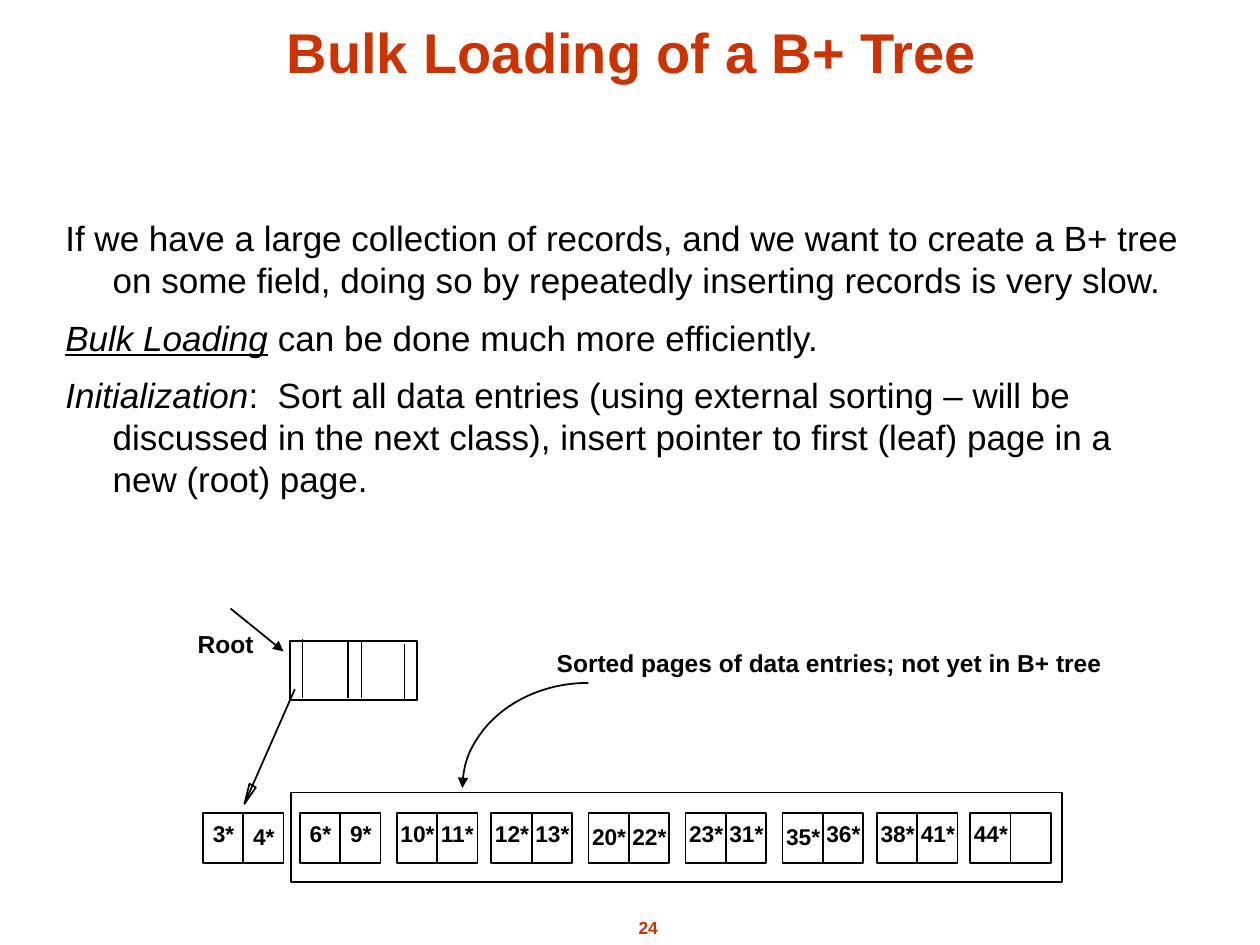
from dataclasses import dataclass

from lxml import etree
from pptx import Presentation
from pptx import util as u
from pptx.dml.color import RGBColor
from pptx.enum import shapes, text
from pptx.oxml import ns

COLS, ROWS = 100, 75
CELL = u.Inches(10) // COLS
BLACK, RED = "000000", "CC3300"
LEFT, MID = text.PP_ALIGN.LEFT, text.PP_ALIGN.CENTER
HALF, TALL, PAGE_TOP = 3.2, 4, 64.5


@dataclass
class Page:
    left: float
    keys: tuple[str, ...]


@dataclass
class Label:
    words: str
    box: tuple[float, float, float, float]
    size: float
    color: str = BLACK
    align: int = LEFT


@dataclass
class Bar:
    """A vertical divider."""
    x: float
    top: float
    tall: float


PAGES = [
    Page(16.1, ("3*", "4*")),
    Page(23.8, ("6*", "9*")),
    Page(31.5, ("10*", "11*")),
    Page(39, ("12*", "13*")),
    Page(46.7, ("20*", "22*")),
    Page(54.4, ("23*", "31*")),
    Page(62.1, ("35*", "36*")),
    Page(69.6, ("38*", "41*")),
    Page(77, ("44*",)),
]
LOW = {"4*", "20*", "22*", "35*"}
ROOT = (23, 50.9, 10.1, 4.65)
BARS = [Bar(27.6, 50.9, 4.5), Bar(32.1, 51.1, 4.5),
        Bar(24, 50.7, 4.7), Bar(28.7, 50.9, 4.5)]
LABELS = [
    Label("Sorted pages of data entries; not yet in B+ tree",
          (43.2, 50.9, 45.5, 3.3), 14),
    Label("Root", (14.7, 49.4, 6.8, 3.3), 14),
    Label("24", (47.1, 72.3, 8.7, 2.7), 10, RED, MID),
]
PLAIN = {"italic": False, "underline": False}
SLANT = {"italic": True, "underline": False}
TERM = {"italic": True, "underline": True}
BODY = [
    [("If we have a large collection of records, and we want to create a "
      "B+ tree on some field, doing so by repeatedly inserting records is "
      "very slow.", PLAIN)],
    [("Bulk Loading", TERM), (" ", SLANT),
     ("can be done much more efficiently.", PLAIN)],
    [("Initialization", SLANT),
     (":  Sort all data entries (using external sorting – will be discussed "
      "in the next class), insert pointer to first (leaf) page in a new "
      "(root) page.", PLAIN)],
]


def grid(*cells: float) -> list[int]:
    return [round(c * CELL) for c in cells]


def paint(target, color: str) -> None:
    target.rgb = RGBColor.from_string(color)


def style(font, size: float, color: str = BLACK, **looks) -> None:
    for key, value in {"name": "Arial", "size": u.Pt(size), **looks}.items():
        setattr(font, key, value)
    paint(font.color, color)


def ink(shape, end: str = "") -> None:
    """Black line, with a triangle at headEnd or tailEnd if one is named."""
    shape.line.width = u.Pt(1)
    shape.line.fill.solid()
    paint(shape.line.fill.fore_color, BLACK)
    if end:
        line = shape.line._get_or_add_ln()
        etree.SubElement(line, ns.qn(f"a:{end}"), type="triangle")


def outline(shape, end: str = "") -> None:
    shape.shadow.inherit = False
    shape.fill.background()
    ink(shape, end)


def rect(slide, *box: float) -> None:
    kind = shapes.MSO_SHAPE.RECTANGLE
    outline(slide.shapes.add_shape(kind, *grid(*box)))


def link(slide, *ends: float, end: str = "") -> None:
    kind = shapes.MSO_CONNECTOR.STRAIGHT
    line = slide.shapes.add_connector(kind, *grid(*ends))
    ink(line, end)
    etree.SubElement(line._element.spPr, ns.qn("a:effectLst"))


def split(slide, bar: Bar) -> None:
    link(slide, bar.x, bar.top, bar.x, bar.top + bar.tall)


def note(slide, label: Label) -> None:
    frame = slide.shapes.add_textbox(*grid(*label.box)).text_frame
    frame.word_wrap = False
    frame.auto_size = text.MSO_AUTO_SIZE.SHAPE_TO_FIT_TEXT
    para = frame.paragraphs[0]
    para.alignment = label.align
    run = para.add_run()
    run.text = label.words
    style(run.font, label.size, label.color, bold=True)


def leaf(slide, page: Page) -> None:
    rect(slide, page.left, PAGE_TOP, 2 * HALF, TALL)
    split(slide, Bar(page.left + HALF, PAGE_TOP, TALL))
    for i, key in enumerate(page.keys):
        shift, wide = (0.2, 3.8) if len(key) == 2 else (0.7, 4.8)
        top = 64.8 if key in LOW else 64.6
        x = page.left + i * HALF - shift
        note(slide, Label(key, (x, top, wide, 3.1), 13))


def head(slide) -> None:
    title = slide.shapes.title
    title.left, title.top, title.width, title.height = grid(6, 0.7, 88.3, 6.7)
    frame = title.text_frame
    frame.text = "Bulk Loading of a B+ Tree"
    frame.auto_size = text.MSO_AUTO_SIZE.NONE
    frame.vertical_anchor = text.MSO_ANCHOR.MIDDLE
    para = frame.paragraphs[0]
    para.alignment = MID
    style(para.runs[0].font, 32, RED, bold=True)


def body(slide) -> None:
    frame = slide.shapes.add_textbox(*grid(4.2, 16.7, 90.8, 44.6)).text_frame
    frame.word_wrap = True
    hang = grid(3.75)[0]
    for i, runs in enumerate(BODY):
        para = frame.add_paragraph() if i else frame.paragraphs[0]
        para.space_before = u.Pt(8.8)
        for key, value in {"marL": hang, "indent": -hang}.items():
            para._p.get_or_add_pPr().set(key, str(value))
        for words, looks in runs:
            run = para.add_run()
            run.text = words
            style(run.font, 20, **looks)


def arrows(slide) -> None:
    link(slide, 23.4, 54.7, 19.4, 63.8)
    tip = slide.shapes.build_freeform(*grid(20.3, 62.5))
    tip.add_line_segments([grid(19.4, 63.8), grid(19.8, 62.2)], close=True)
    outline(tip.convert_to_shape())
    link(slide, 18.3, 48.3, 22.5, 51.7, end="tailEnd")
    kind = shapes.MSO_SHAPE.ARC
    arc = slide.shapes.add_shape(kind, *grid(36.7, 54.2, 20, 16.7))
    # Angles are 60000ths of a degree, scaled here by 100000.
    arc.adjustments[0], arc.adjustments[1] = 180 * 0.6, 270 * 0.6
    outline(arc, "headEnd")


def main() -> None:
    deck = Presentation()
    deck.slide_width, deck.slide_height = grid(COLS, ROWS)
    slide = deck.slides.add_slide(deck.slide_layouts[5])
    head(slide)
    body(slide)
    for page in PAGES:
        leaf(slide, page)
    rect(slide, *ROOT)
    for bar in BARS:
        split(slide, bar)
    rect(slide, 23.1, 62.9, 61.2, 7.1)
    for label in LABELS:
        note(slide, label)
    arrows(slide)
    deck.save("out.pptx")


if __name__ == "__main__":
    main()
